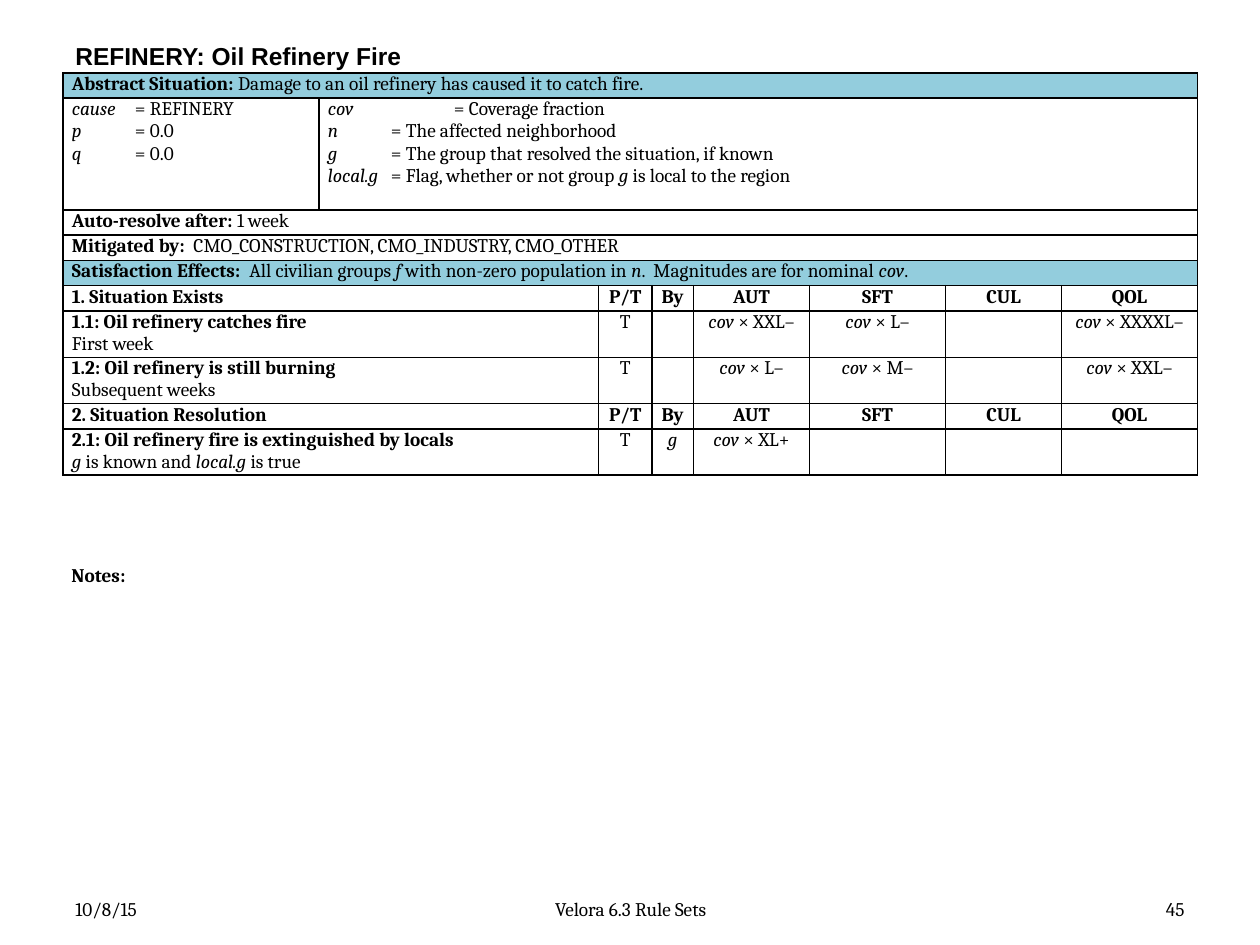
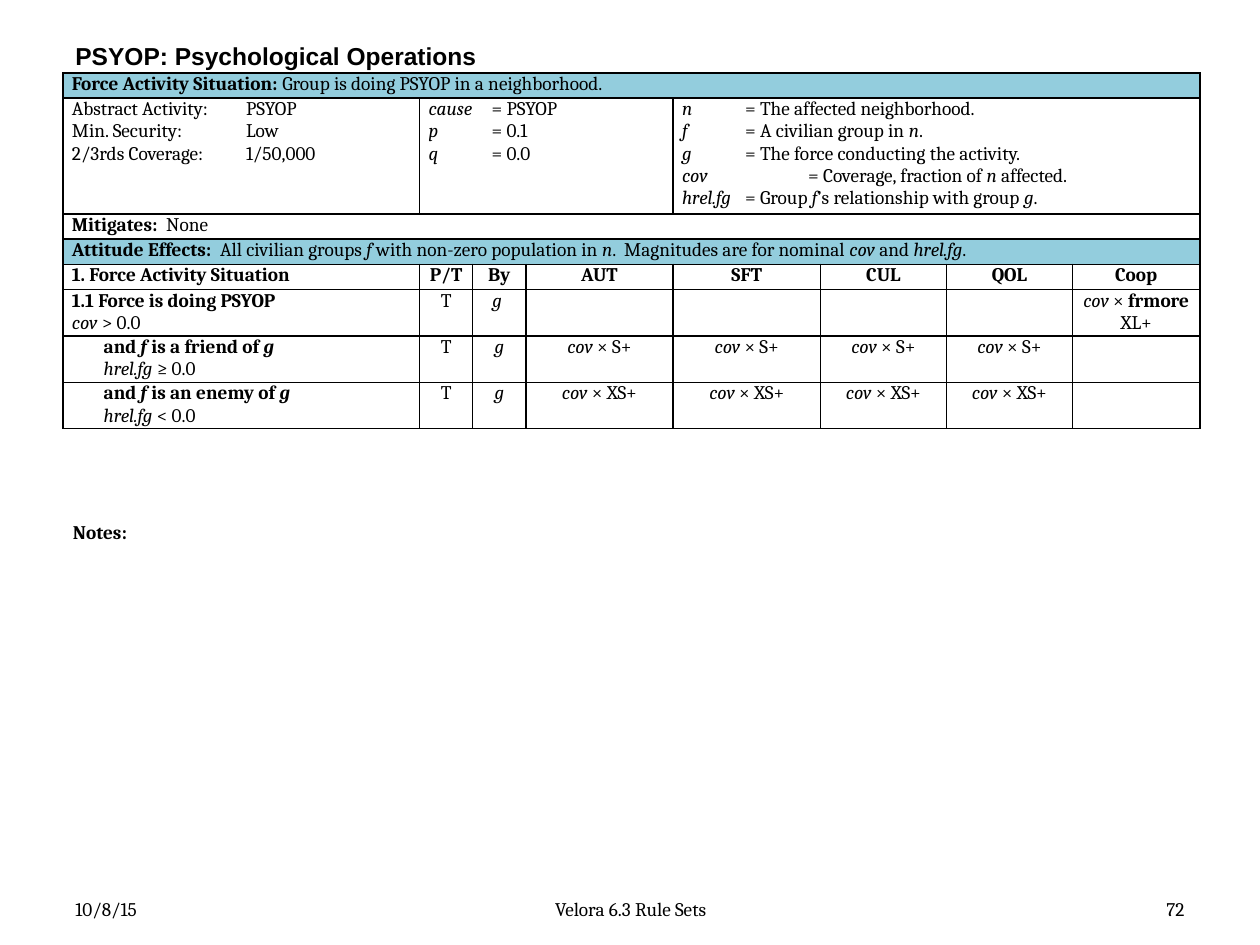
from dataclasses import dataclass
from lxml import etree
from pptx import Presentation
from pptx.dml.color import RGBColor
from pptx.enum.text import MSO_ANCHOR, PP_ALIGN
from pptx.oxml.ns import qn
from pptx.util import Cm, Pt

LEFT, MID, RIGHT = PP_ALIGN.LEFT, PP_ALIGN.CENTER, PP_ALIGN.RIGHT
TOP, CENTRE = MSO_ANCHOR.TOP, MSO_ANCHOR.MIDDLE


@dataclass(frozen=True)
class Theme:
    ink: str = "000000"
    band: str = "93CDDD"
    plain: str = "FFFFFF"
    face: str = "Cambria"
    head: str = "Arial"
    body: int = 11
    title: int = 14
    line: int = 1


THEME = Theme()
NEEDS = ["AUT", "SFT", "CUL", "QOL"]
HEADS = ["P/T", "By"] + NEEDS
FOOT = {"date": "10/8/15", "name": "Velora 6.3 Rule Sets"}

SHEETS = [
    {
        "title": "REFINERY: Oil Refinery Fire",
        "page": "45",
        "notes": (1.19, 11.23),
        "cols": [5.16, 5.64, 1.07, 0.84, 2.34, 2.74, 2.34, 2.74],
        "facts": [1, 7],
        "tabs": [(1.27,), (1.27, 2.54)],
        "rules": [2] + [1] * 6,
        "rows": [
            ("band", ["*Abstract Situation:* Damage to an oil refinery has caused it to catch fire."]),
            ("facts", [
                "~cause~\t= REFINERY\n~p~\t= 0.0\n~q~\t= 0.0",
                "~cov~\t\t= Coverage fraction\n"
                "~n~\t= The affected neighborhood\n"
                "~g~\t= The group that resolved the situation, if known\n"
                "~local.g~\t= Flag, whether or not group ~g~ is local to the region",
            ]),
            ("line", ["*Auto-resolve after:* 1 week"]),
            ("line", ["*Mitigated by:*  CMO_CONSTRUCTION, CMO_INDUSTRY, CMO_OTHER"]),
            ("band", ["*Satisfaction Effects:  *All civilian groups ~f ~with non-zero population in ~n~.  "
                      "Magnitudes are for nominal ~cov~."]),
            ("head", ["1. Situation Exists"] + HEADS),
            ("rule", ["*1.1: Oil refinery catches fire*\nFirst week",
                      "T", "", "~cov~ × XXL–", "~cov~ × L–", "", "~cov~ × XXXXL–"]),
            ("rule", ["*1.2: Oil refinery is still burning*\nSubsequent weeks",
                      "T", "", "~cov~ × L–", "~cov~ × M–", "", "~cov~ × XXL–"]),
            ("head", ["2. Situation Resolution"] + HEADS),
            ("rule", ["*2.1: Oil refinery fire is extinguished by locals*\n~g~ is known and ~local.g~ is true",
                      "T", "~g~", "~cov~ × XL+", "", "", ""]),
        ],
    },
    {
        "title": "PSYOP: Psychological Operations",
        "page": "72",
        "notes": (1.22, 10.36),
        "cols": [7.19, 1.07, 1.07, 2.97, 2.97, 2.54, 2.54, 2.57],
        "facts": [1, 3, 4],
        "tabs": [(3.51,), (1.27,), (1.27, 2.54)],
        "rules": [1] * 8,
        "rows": [
            ("band", ["*Force Activity Situation:* Group is doing PSYOP in a neighborhood."]),
            ("facts", [
                "Abstract Activity:\tPSYOP\nMin. Security:\tLow\n2/3rds Coverage:\t1/50,000",
                "~cause~\t= PSYOP\n~p~\t= 0.1\n~q~\t= 0.0",
                "~n~\t= The affected neighborhood.\n"
                "~f~\t= A civilian group in ~n~.\n"
                "~g~\t= The force conducting the activity.\n"
                "~cov~\t\t= Coverage, fraction of ~n~ affected.\n"
                "~hrel.fg~\t= Group ~f~’s relationship with group ~g~.",
            ]),
            ("line", ["*Mitigates:*  None"]),
            ("band", ["*Attitude Effects:  *All civilian groups ~f ~with non-zero population in ~n~.  "
                      "Magnitudes are for nominal ~cov ~and ~hrel.fg~."]),
            ("head", ["1. Force Activity Situation"] + HEADS + ["Coop"]),
            ("rule", ["*1.1 Force is doing PSYOP*\n~cov~ > 0.0",
                      "T", "~g ~", "", "", "", "", "~cov~ × *frmore*\nXL+"]),
            ("rule", ["\t*and ~f~ is a friend of ~g~*\n\t~hrel.fg ~≥ 0.0",
                      "T", "~g~"] + ["~cov~ × S+"] * 4 + [""]),
            ("rule", ["\t*and ~f~ is an enemy of ~g~*\n\t~hrel.fg ~< 0.0",
                      "T", "~g~"] + ["~cov~ × XS+"] * 4 + [""]),
        ],
    },
]

EDGE, WIDE = 1.27, 22.86
TALL = {"band": 0.51, "line": 0.51, "head": 0.51, "rule": 0.9, "facts": 2.25}
STEP = (0.64,)
PAD = 0.18


def write(frame, text, size=THEME.body, face=THEME.face, bold=False, align=LEFT, tabs=()):
    frame.word_wrap = True
    for n, line in enumerate(text.split("\n")):
        para = frame.add_paragraph() if n else frame.paragraphs[0]
        para.alignment = align
        if tabs:
            stops = etree.SubElement(para._p.get_or_add_pPr(), qn("a:tabLst"))
            for pos in tabs:
                etree.SubElement(stops, qn("a:tab"), pos=str(Cm(pos)), algn="l")
        for i, part in enumerate(line.split("*")):
            for j, bit in enumerate(part.split("~")):
                if not bit:
                    continue
                run = para.add_run()
                run.text = bit
                font = run.font
                font.name, font.size = face, Pt(size)
                font.bold, font.italic = bold or i % 2 == 1, j % 2 == 1
                font.color.rgb = RGBColor.from_string(THEME.ink)
        para._p.get_or_add_endParaRPr().set("sz", str(size * 100))


def label(slide, text, left, top, width, height, anchor=CENTRE, **style):
    frame = slide.shapes.add_textbox(Cm(left), Cm(top), Cm(width), Cm(height)).text_frame
    frame.vertical_anchor = anchor
    write(frame, text, **style)


def dress(cell, fill):
    cell.margin_left = cell.margin_right = Cm(PAD)
    cell.margin_top = cell.margin_bottom = 0
    props = cell._tc.get_or_add_tcPr()
    for side in "LRTB":
        edge = etree.SubElement(props, qn("a:ln" + side), w=str(Pt(THEME.line)))
        paint = etree.SubElement(edge, qn("a:solidFill"))
        etree.SubElement(paint, qn("a:srgbClr"), val=THEME.ink)
    cell.fill.solid()
    cell.fill.fore_color.rgb = RGBColor.from_string(fill)


def grid(slide, sheet):
    cols, rows = sheet["cols"], sheet["rows"]
    tall = [TALL[kind] for kind, _ in rows]
    table = slide.shapes.add_table(len(rows), len(cols), Cm(EDGE), Cm(1.47),
                                   Cm(sum(cols)), Cm(sum(tall))).table
    table.first_row = table.horz_banding = False
    for col, width in zip(table.columns, cols):
        col.width = Cm(width)
    for row, height in zip(table.rows, tall):
        row.height = Cm(height)
    spans = {"band": [len(cols)], "line": [len(cols)], "facts": sheet["facts"],
             "head": sheet["rules"], "rule": sheet["rules"]}
    for r, (kind, texts) in enumerate(rows):
        at = 0
        for n, (text, span) in enumerate(zip(texts, spans[kind])):
            for c in range(at, at + span):
                cell = table.cell(r, c)
                dress(cell, THEME.band if kind == "band" else THEME.plain)
                write(cell.text_frame, text if c == at else "",
                      bold=kind == "head",
                      align=MID if n and kind in ("head", "rule") else LEFT,
                      tabs=sheet["tabs"][n] if kind == "facts" else STEP if "\t" in text else ())
            if span > 1:
                table.cell(r, at).merge(table.cell(r, at + span - 1))
            at += span


def build(deck, sheet):
    slide = deck.slides.add_slide(deck.slide_layouts[6])
    label(slide, sheet["title"], EDGE, 0.76, WIDE, 0.71,
          size=THEME.title, face=THEME.head, bold=True)
    for text, left, width, align in [(FOOT["date"], EDGE, 5.92, LEFT),
                                     (FOOT["name"], 8.69, 8.05, MID),
                                     (sheet["page"], 18.21, 5.92, RIGHT)]:
        label(slide, text, left, 17.98, width, 0.69, align=align)
    grid(slide, sheet)
    left, top = sheet["notes"]
    label(slide, "Notes:", left, top, 23.06, 0.74, anchor=TOP, bold=True)


def main():
    deck = Presentation()
    deck.slide_width, deck.slide_height = Cm(25.4), Cm(19.05)
    for sheet in SHEETS:
        build(deck, sheet)
    deck.save("out.pptx")


if __name__ == "__main__":
    main()
